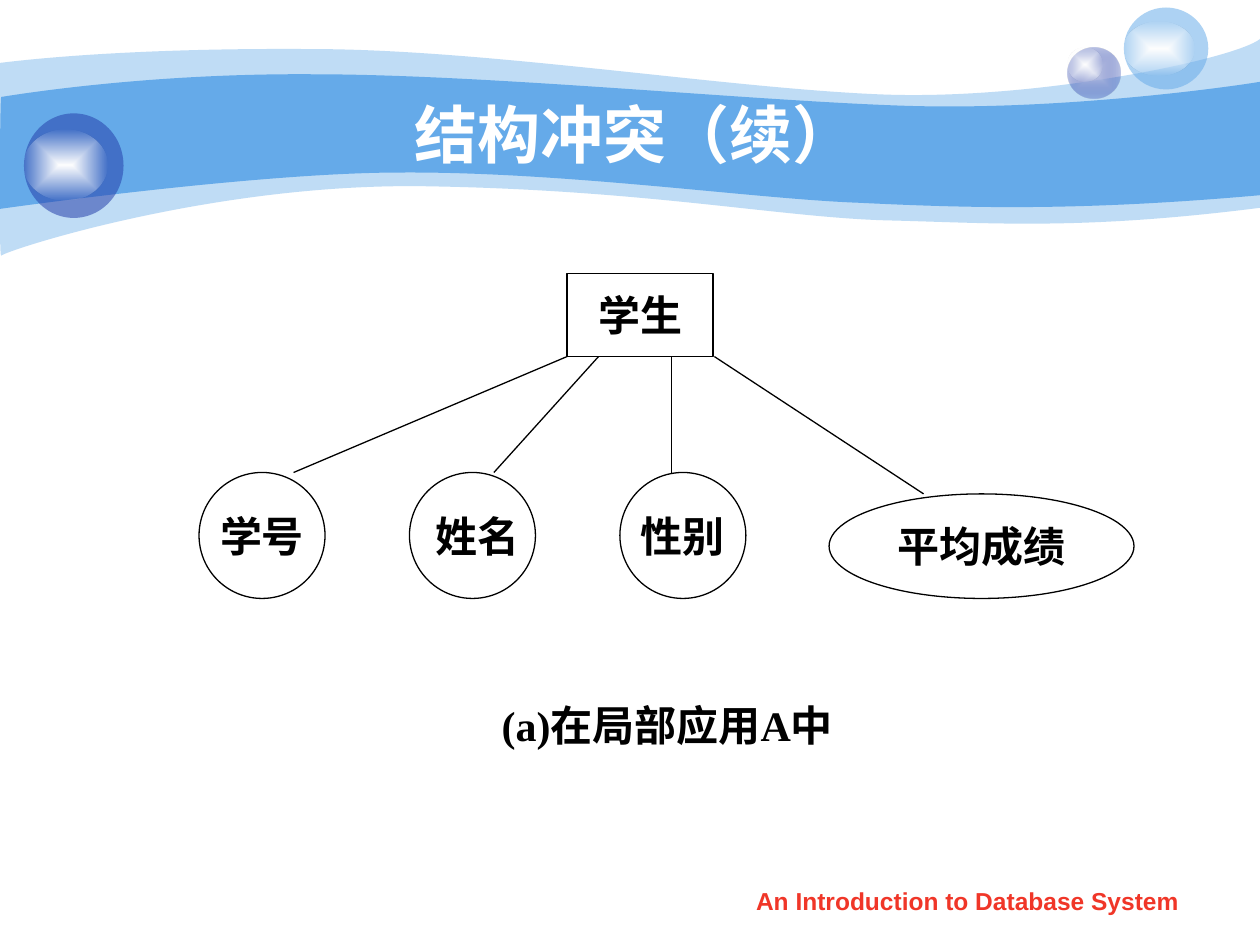
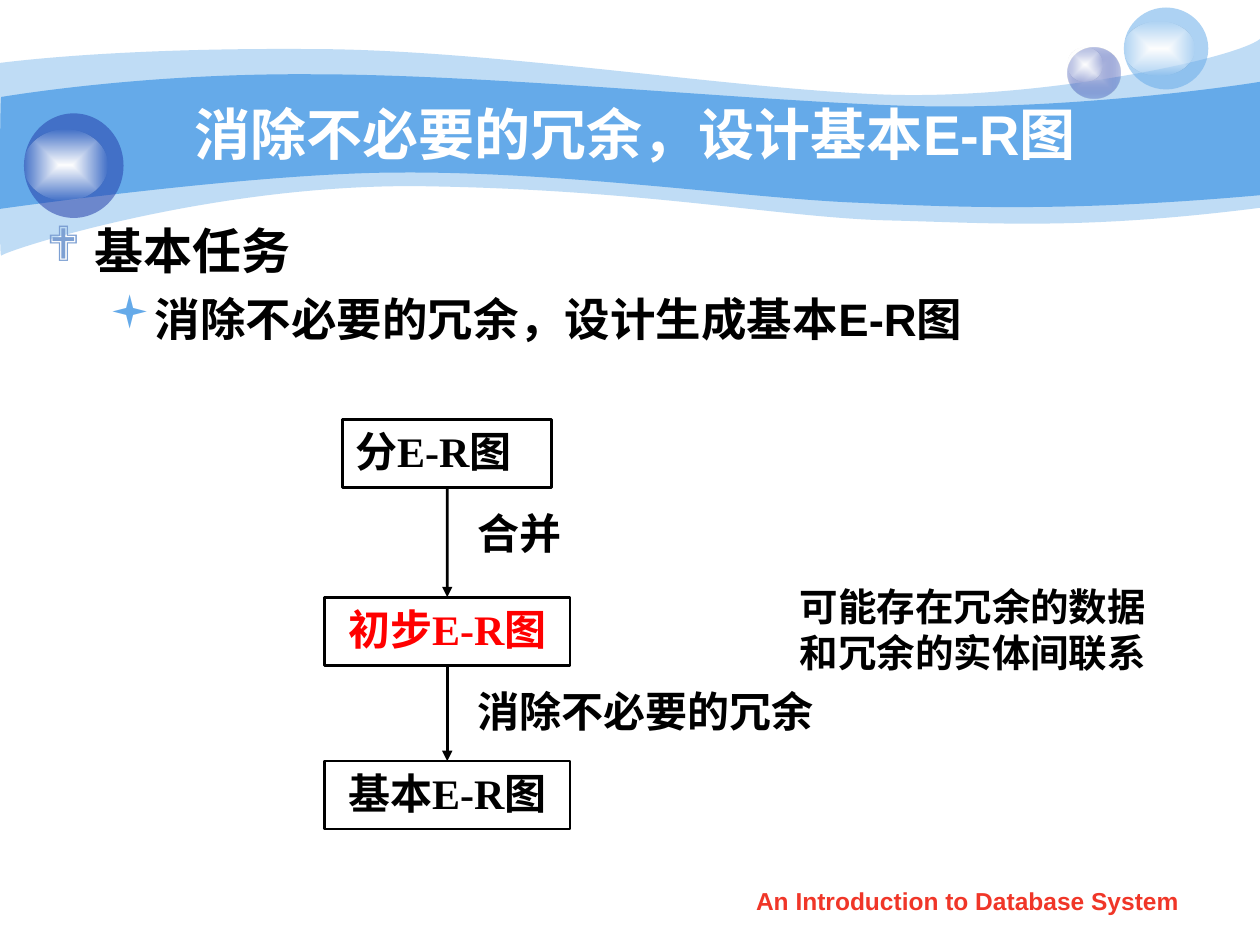
from lxml.etree import SubElement
from pptx import Presentation
from pptx.dml.color import RGBColor
from pptx.enum.shapes import MSO_CONNECTOR, MSO_SHAPE
from pptx.enum.text import MSO_ANCHOR, PP_ALIGN
from pptx.oxml import parse_xml
from pptx.oxml.ns import nsdecls, qn
from pptx.util import Inches, Pt

COLORS = {
    "sky": "65AAE9", "navy": "233DA9", "mist": "C6CCE8", "white": "FFFFFF",
    "pearl": "FEFEFE", "black": "000000", "red": "FF0000", "foot": "F03628",
    "mark": "7DA0D3",
}
SANS, SERIF = "Arial", "Times New Roman"

# Each wave is a start point and then runs: three points bend, one point is straight.
OUTER = ((0, 0.5), [
    [(0.24, 0.47), (1.07, 0.38), (2.47, 0.39)],
    [(3.86, 0.39), (5.75, 0.7), (6.99, 0.75)],
    [(8.22, 0.8), (9.8, 0.47), (10, 0.31)],
    [(10, 1.65)],
    [(8.58, 1.83), (7.87, 1.77), (7.05, 1.75)],
    [(6.22, 1.73), (5.15, 1.51), (3.43, 1.48)],
    [(1.72, 1.44), (0.04, 1.99), (0.01, 2.03)],
    [(-0.01, 2.08), (0, 0.75), (0, 0.5)],
])
INNER = ((0.01, 0.77), [
    [(0.02, 0.77), (1.1, 0.58), (2.48, 0.59)],
    [(3.86, 0.59), (5.95, 0.8), (7.18, 0.84)],
    [(8.41, 0.88), (9.76, 0.69), (10, 0.65)],
    [(10, 1.55)],
    [(8.53, 1.68), (7.65, 1.65), (6.82, 1.61)],
    [(5.99, 1.58), (4.47, 1.36), (3.17, 1.37)],
    [(2.03, 1.37), (-0.02, 1.66), (-0.01, 1.66)],
    [(0, 1.66), (0, 0.77), (0.01, 0.77)],
])


def rgb(name):
    return RGBColor.from_string(COLORS[name])


def inch(*sizes):
    return [Inches(size) for size in sizes]


def bend(shape, runs):
    """Turn every run of three straight pieces into one cubic curve."""
    lines = iter(list(shape._element.iter(qn("a:lnTo"))))
    for run in runs:
        first, *rest = [next(lines) for _ in run]
        if rest:
            curve = parse_xml(f'<a:cubicBezTo {nsdecls("a")}/>')
            first.addprevious(curve)
            for line in (first, *rest):
                curve.append(line[0])
                line.getparent().remove(line)


def write(frame, text, size=24, font=SERIF, color="black", align=PP_ALIGN.CENTER,
          anchor=MSO_ANCHOR.MIDDLE, wrap=True):
    frame.word_wrap = wrap
    frame.vertical_anchor = anchor
    for i, part in enumerate(text.split("\n")):
        para = frame.add_paragraph() if i else frame.paragraphs[0]
        put(para, part, size, font, color, align)


def put(para, text, size, font, color, align):
    para.alignment = align
    run = para.add_run()
    run.text = text
    run.font.size, run.font.name, run.font.bold = Pt(size), font, True
    run.font.color.rgb = rgb(color)


def tint(shape, color, alpha=100):
    shape.fill.solid()
    shape.fill.fore_color.rgb = rgb(color)
    if alpha < 100:
        node = shape._element.spPr.find(qn("a:solidFill")).find(qn("a:srgbClr"))
        SubElement(node, qn("a:alpha"), val=str(alpha * 1000))


def glow(shape, core, rim, alpha):
    """Fade from an opaque core to a clear rim."""
    shape.fill.background()
    old = shape._element.spPr.find(qn("a:noFill"))
    old.getparent().replace(old, parse_xml(
        f'<a:gradFill {nsdecls("a")} rotWithShape="1"><a:gsLst>'
        f'<a:gs pos="0"><a:srgbClr val="{COLORS[core]}"/></a:gs>'
        f'<a:gs pos="100000"><a:srgbClr val="{COLORS[rim]}">'
        f'<a:alpha val="{alpha * 1000}"/></a:srgbClr></a:gs></a:gsLst>'
        '<a:path path="rect"><a:fillToRect l="50000" t="50000" r="50000" b="50000"/>'
        '</a:path></a:gradFill>'))


class Deck:
    def __init__(self):
        self.pres = Presentation()
        self.pres.slide_width, self.pres.slide_height = inch(10, 7.5)
        self.slide = None

    def page(self, title, size):
        self.slide = self.pres.slides.add_slide(self.pres.slide_layouts[6])
        self.wave(*OUTER, alpha=41)
        self.wave(*INNER)
        glow(self.ball(8.47, 0.38, 0.42, 0.4), "mist", "navy", 31)
        self.shine(8.47, 0.38, 0.28, 0.27)
        tint(self.ball(8.92, 0.06, 0.67, 0.65), "sky", 53)
        self.shine(8.92, 0.17, 0.56, 0.43)
        tint(self.ball(0.19, 0.9, 0.79, 0.83), "navy", 53)
        self.shine(0.19, 1.03, 0.66, 0.56)
        self.text(title, 1, 0.75, 8.08, 0.62, size=size, font=SANS, color="white")
        self.text("An Introduction to Database System", 5.71, 6.98, 3.94, 0.35,
                  size=14, font=SANS, color="foot", anchor=MSO_ANCHOR.TOP)

    def wave(self, start, runs, alpha=100):
        pen = self.slide.shapes.build_freeform(*inch(*start))
        pen.add_line_segments([inch(*dot) for run in runs for dot in run], close=True)
        shape = pen.convert_to_shape()
        bend(shape, runs)
        shape.shadow.inherit = False
        shape.line.fill.background()
        tint(shape, "sky", alpha)

    def ball(self, *area):
        shape = self.slide.shapes.add_shape(MSO_SHAPE.OVAL, *inch(*area))
        shape.shadow.inherit = False
        shape.line.fill.background()
        return shape

    def shine(self, *area):
        glow(self.ball(*area), "white", "pearl", 0)

    def text(self, text, *area, **style):
        frame = self.slide.shapes.add_textbox(*inch(*area)).text_frame
        write(frame, text, **style)

    def node(self, text, *area, kind=MSO_SHAPE.RECTANGLE, width=0.75, **style):
        """Outlined shape with a label."""
        shape = self.slide.shapes.add_shape(kind, *inch(*area))
        shape.shadow.inherit = False
        shape.fill.background()
        shape.line.color.rgb = rgb("black")
        shape.line.width = Pt(width)
        write(shape.text_frame, text, **style)
        return shape

    def line(self, *ends, width=0.75):
        link = self.slide.shapes.add_connector(MSO_CONNECTOR.STRAIGHT, *inch(*ends))
        link.line.color.rgb = rgb("black")
        link.line.width = Pt(width)
        SubElement(link._element.spPr, qn("a:effectLst"))
        return link

    def arrow(self, top, low):
        """Join the bottom of one box to the top of the next."""
        link = self.line(0, 0, 0, 0, width=1.5)
        link.begin_connect(top, 2)
        link.end_connect(low, 0)
        SubElement(link._element.spPr.find(qn("a:ln")), qn("a:tailEnd"), type="triangle")

    def list(self, items, *area):
        """Items are text, size, bullet, bullet colour, left, hang and space before."""
        frame = self.slide.shapes.add_textbox(*inch(*area)).text_frame
        frame.word_wrap = True
        for i, (text, size, sign, color, left, hang, gap) in enumerate(items):
            para = frame.add_paragraph() if i else frame.paragraphs[0]
            para.space_before = Pt(gap)
            props = para._p.get_or_add_pPr()
            props.set("marL", str(Inches(left)))
            props.set("indent", str(-Inches(hang)))
            tone = SubElement(props, qn("a:buClr"))
            SubElement(tone, qn("a:srgbClr"), val=COLORS[color])
            SubElement(props, qn("a:buFont"), typeface="Wingdings", charset="2")
            SubElement(props, qn("a:buChar"), char=sign)
            put(para, text, size, SANS, "black", PP_ALIGN.LEFT)


def student(deck):
    deck.page("结构冲突（续）", 36)
    deck.node("学生", 4.5, 2.17, 1.16, 0.66, wrap=False)
    for i, name in enumerate(["学号", " 姓名", "性别"]):
        deck.node(name, 1.58 + i * 1.67, 3.75, 1, 1, kind=MSO_SHAPE.OVAL, wrap=False)
    deck.node("平均成绩", 6.58, 3.92, 2.42, 0.83, kind=MSO_SHAPE.OVAL, wrap=False)
    for start, end, low in [(4.5, 2.33, 3.75), (4.75, 3.92, 3.75),
                            (5.33, 5.33, 3.75), (5.67, 7.33, 3.92)]:
        deck.line(start, 2.83, end, low)
    deck.text("(a)在局部应用A中", 3.67, 5.42, 3.25, 0.67, wrap=False)


def merge(deck):
    deck.page("消除不必要的冗余，设计基本E-R图", 32)
    deck.list([
        ("基本任务", 28, "❖", "mark", 0.38, 0.38, 0),
        ("消除不必要的冗余，设计生成基本E-R图", 26, "▪", "sky", 0.81, 0.31, 6.5),
    ], 0.27, 1.7, 9.53, 4.92)
    boxes = [
        deck.node(text, 3.55 - wide / 2, top, wide, 0.54, width=1.5, color=color,
                  align=align, anchor=MSO_ANCHOR.TOP)
        for text, top, wide, color, align in [
            ("分E-R图", 3.33, 1.66, "black", PP_ALIGN.LEFT),
            ("初步E-R图", 4.74, 1.95, "red", PP_ALIGN.CENTER),
            ("基本E-R图", 6.04, 1.95, "black", PP_ALIGN.CENTER),
        ]]
    for top, low in zip(boxes, boxes[1:]):
        deck.arrow(top, low)
    for text, area, size in [
        ("合并", (3.69, 3.98, 1.24, 0.43), 24),
        ("消除不必要的冗余", (3.69, 5.39, 3.03, 0.54), 24),
        ("可能存在冗余的数据\n和冗余的实体间联系", (6.25, 4.58, 3.25, 0.83), 22),
    ]:
        deck.text(text, *area, size=size, align=PP_ALIGN.LEFT, anchor=MSO_ANCHOR.TOP)


def main():
    deck = Deck()
    student(deck)
    merge(deck)
    deck.pres.save("out.pptx")


if __name__ == "__main__":
    main()
